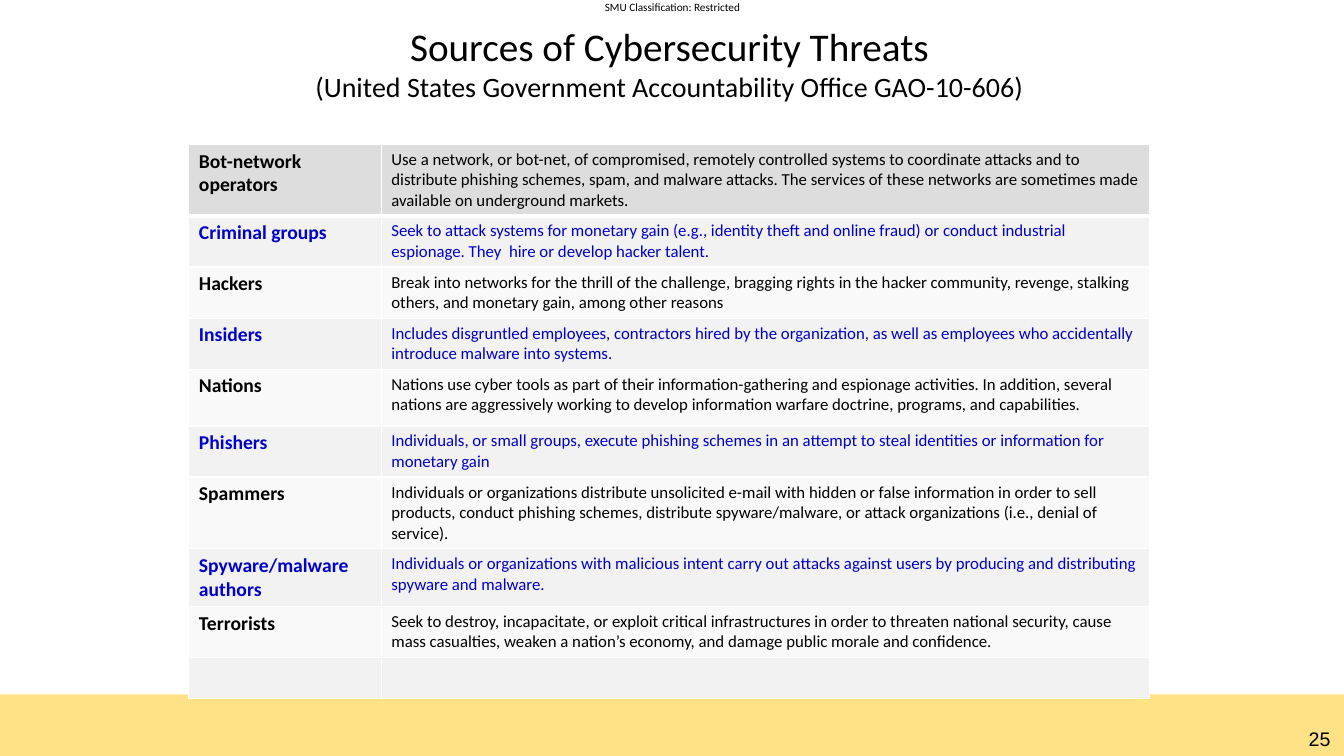
from dataclasses import dataclass
from typing import Any

from lxml.etree import SubElement
from pptx import Presentation
from pptx.dml.color import RGBColor as Rgb
from pptx.enum.shapes import MSO_SHAPE as Preset
from pptx.enum.text import MSO_ANCHOR as Anchor, MSO_AUTO_SIZE as AutoSize, PP_ALIGN as Align
from pptx.oxml.ns import qn
from pptx.util import Cm, Pt

COLOURS = {
    "text": "000000",
    "accent": "0000CC",
    "first_row": "DDDDDD",
    "odd_row": "F2F2F2",
    "even_row": "F9F9F9",
    "rule": "FFFFFF",
    "footer": "FFE285",
}
CALIBRI = {"name": "Calibri"}
SOURCE_FORMAT = CALIBRI | {"size": Pt(14), "bold": True}
ACTIVITY_FORMAT = CALIBRI | {"size": Pt(12), "bold": False}
FRAME_FORMAT = {"word_wrap": True, "auto_size": AutoSize.NONE, "vertical_anchor": Anchor.TOP}
COLUMN_WIDTHS = (4.85, 19.36)


@dataclass
class Threat:
    source: str
    activity: str
    height: float


THREATS = [
    Threat("Bot-network operators",
           "Use a network, or bot-net, of compromised, remotely controlled systems to coordinate "
           "attacks and to distribute phishing schemes, spam, and malware attacks. The services of "
           "these networks are sometimes made available on underground markets.", 1.76),
    Threat("Criminal groups",
           "Seek to attack systems for monetary gain (e.g., identity theft and online fraud) or "
           "conduct industrial espionage. They  hire or develop hacker talent.", 1.27),
    Threat("Hackers",
           "Break into networks for the thrill of the challenge, bragging rights in the hacker "
           "community, revenge, stalking others, and monetary gain, among other reasons", 1.27),
    Threat("Insiders",
           "Includes disgruntled employees, contractors hired by the organization, as well as "
           "employees who accidentally introduce malware into systems.", 1.27),
    Threat("Nations",
           "Nations use cyber tools as part of their information-gathering and espionage "
           "activities. In addition, several nations are aggressively working to develop "
           "information warfare doctrine, programs, and capabilities.", 1.43),
    Threat("Phishers",
           "Individuals, or small groups, execute phishing schemes in an attempt to steal "
           "identities or information for monetary gain", 1.27),
    Threat("Spammers",
           "Individuals or organizations distribute unsolicited e-mail with hidden or false "
           "information in order to sell products, conduct phishing schemes, distribute "
           "spyware/malware, or attack organizations (i.e., denial of service).", 1.78),
    Threat("Spyware/malware authors",
           "Individuals or organizations with malicious intent carry out attacks against users by "
           "producing and distributing spyware and malware.", 1.44),
    Threat("Terrorists",
           "Seek to destroy, incapacitate, or exploit critical infrastructures in order to "
           "threaten national security, cause mass casualties, weaken a nation’s economy, and "
           "damage public morale and confidence.", 1.27),
    Threat("", "", 0.99),
]


def colour(name: str) -> Rgb:
    return Rgb.from_string(COLOURS[name])


def apply_format(target: Any, values: dict[str, Any]) -> None:
    for attribute, value in values.items():
        setattr(target, attribute, value)


def add_run(paragraph: Any, text: str, font_format: dict[str, Any], colour_name: str = "text") -> None:
    run = paragraph.add_run()
    run.text = text
    apply_format(run.font, font_format)
    run.font.color.rgb = colour(colour_name)


def add_label(slide: Any, box: tuple[float, ...], text: str, font_format: dict[str, Any],
              margin: float) -> None:
    frame = slide.shapes.add_textbox(*map(Cm, box)).text_frame
    sides = ("margin_left", "margin_right", "margin_top", "margin_bottom")
    apply_format(frame, FRAME_FORMAT | dict.fromkeys(sides, Cm(margin)))
    frame.paragraphs[0].alignment = Align.CENTER
    add_run(frame.paragraphs[0], text, font_format)


def add_title(slide: Any) -> None:
    title = slide.shapes.title
    apply_format(title, {"left": Cm(5.44), "top": Cm(0.43), "width": Cm(22.86), "height": Cm(2.06)})
    apply_format(title.text_frame, FRAME_FORMAT)
    heading = title.text_frame.paragraphs[0]
    heading.alignment = Align.CENTER
    add_run(heading, "Sources of Cybersecurity Threats", CALIBRI | {"size": Pt(28)})
    heading.add_line_break()
    add_run(heading, "(United States Government Accountability Office GAO-10-606)",
            CALIBRI | {"size": Pt(20)})


def add_footer_band(slide: Any) -> None:
    band = slide.shapes.add_shape(Preset.RECTANGLE, Cm(0), Cm(17.5), Cm(33.87), Cm(1.55))
    band.shadow.inherit = False
    band.fill.solid()
    band.fill.fore_color.rgb = colour("footer")
    band.line.fill.background()


def add_borders(cell: Any, top: float, bottom: float) -> None:
    properties = cell._tc.get_or_add_tcPr()
    for side, points in {"lnL": 1, "lnR": 1, "lnT": top, "lnB": bottom}.items():
        line = SubElement(properties, qn(f"a:{side}"), w=str(Pt(points)))
        fill = SubElement(line, qn("a:solidFill"))
        SubElement(fill, qn("a:srgbClr"), val=COLOURS["rule"])


def add_threat_table(slide: Any) -> None:
    height = sum(threat.height for threat in THREATS)
    table = slide.shapes.add_table(len(THREATS), len(COLUMN_WIDTHS), Cm(4.76), Cm(3.64),
                                   Cm(sum(COLUMN_WIDTHS)), Cm(height)).table
    for column, width in zip(table.columns, COLUMN_WIDTHS):
        column.width = Cm(width)
    for index, threat in enumerate(THREATS):
        table.rows[index].height = Cm(threat.height)
        odd = index % 2 == 1
        shade = "odd_row" if odd else "even_row" if index else "first_row"
        contents = ((threat.source, SOURCE_FORMAT), (threat.activity, ACTIVITY_FORMAT))
        for cell, (text, font_format) in zip(table.rows[index].cells, contents):
            add_borders(cell, top=3 if index == 1 else 1, bottom=3 if index == 0 else 1)
            cell.fill.solid()
            cell.fill.fore_color.rgb = colour(shade)
            if text:
                add_run(cell.text_frame.paragraphs[0], text, font_format,
                        "accent" if odd else "text")


def main() -> None:
    deck = Presentation()
    apply_format(deck, {"slide_width": Cm(33.87), "slide_height": Cm(19.05)})
    slide = deck.slides.add_slide(deck.slide_layouts[5])
    add_footer_band(slide)
    add_label(slide, (15.0, 0, 3.9, 0.33), "SMU Classification: Restricted",
              CALIBRI | {"size": Pt(8)}, margin=0)
    add_label(slide, (32.64, 18.19, 1.23, 0.86), "25", {"name": "Arial", "size": Pt(14)}, margin=0.13)
    add_title(slide)
    add_threat_table(slide)
    deck.save("out.pptx")


if __name__ == "__main__":
    main()
